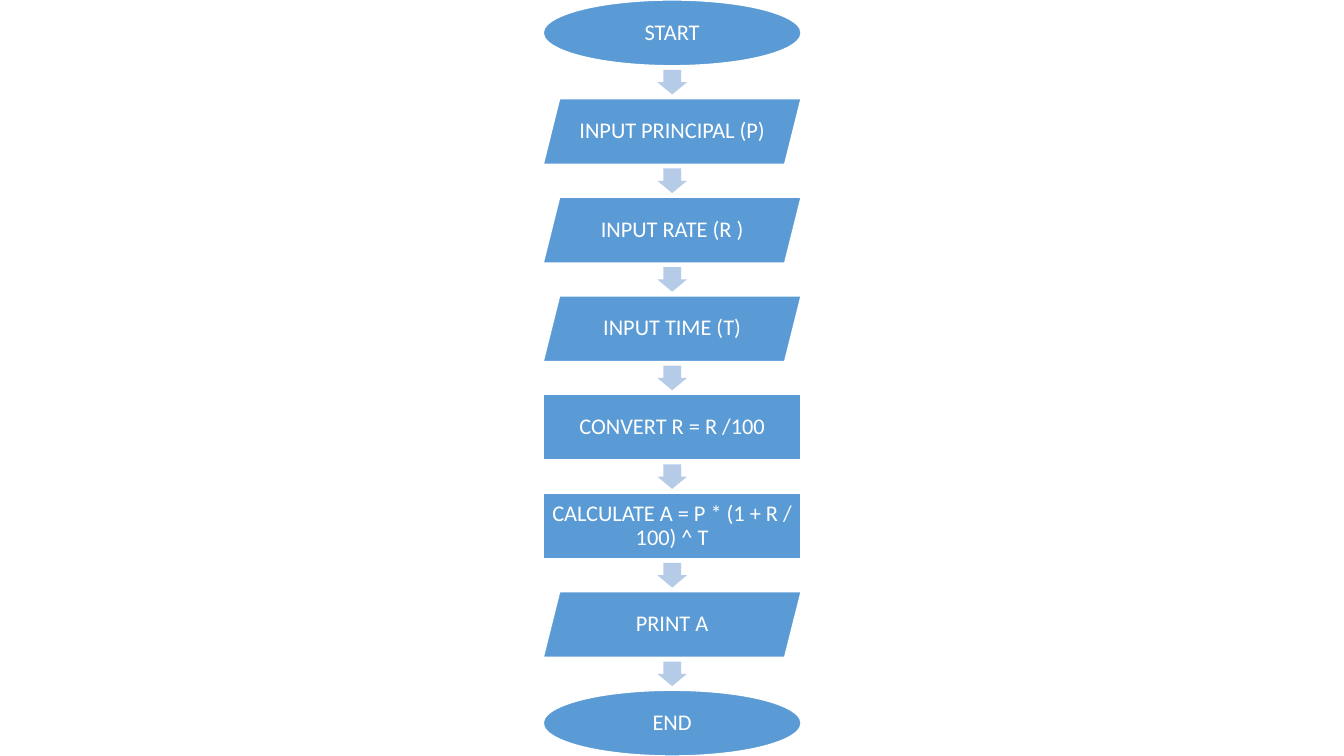
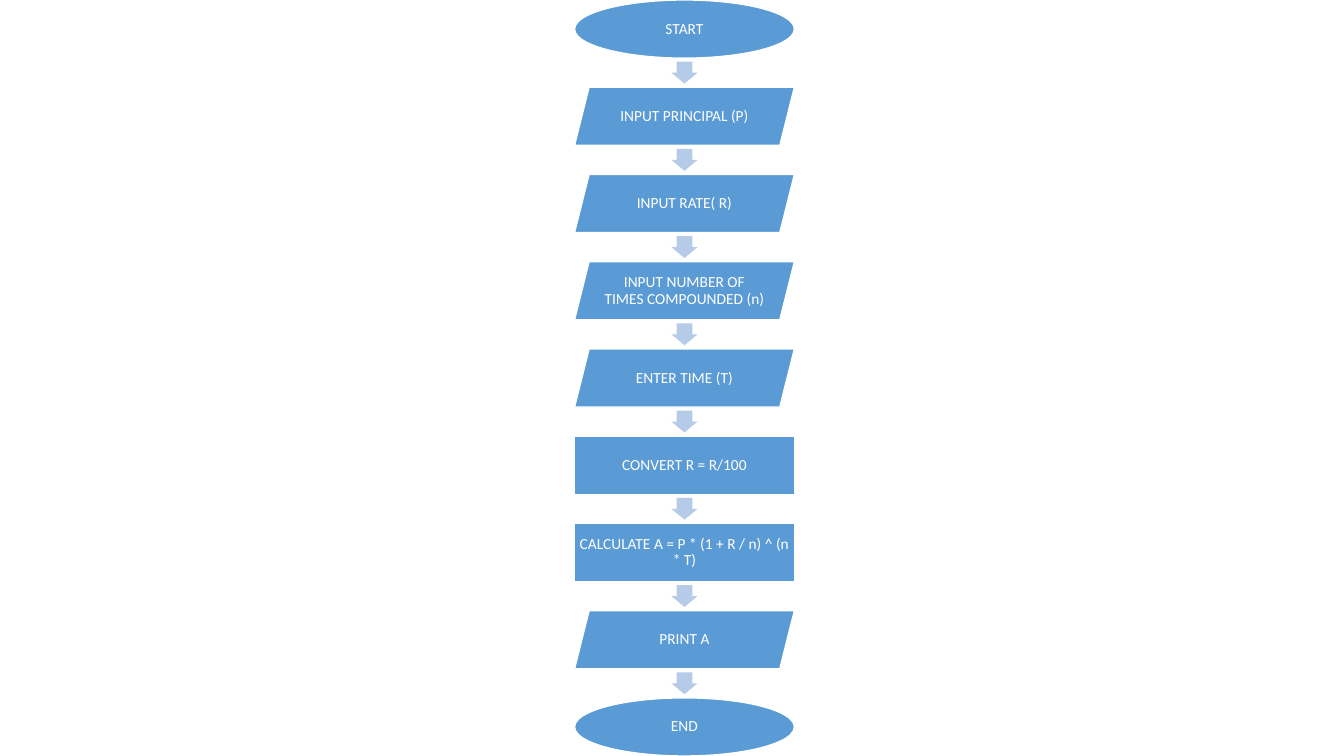
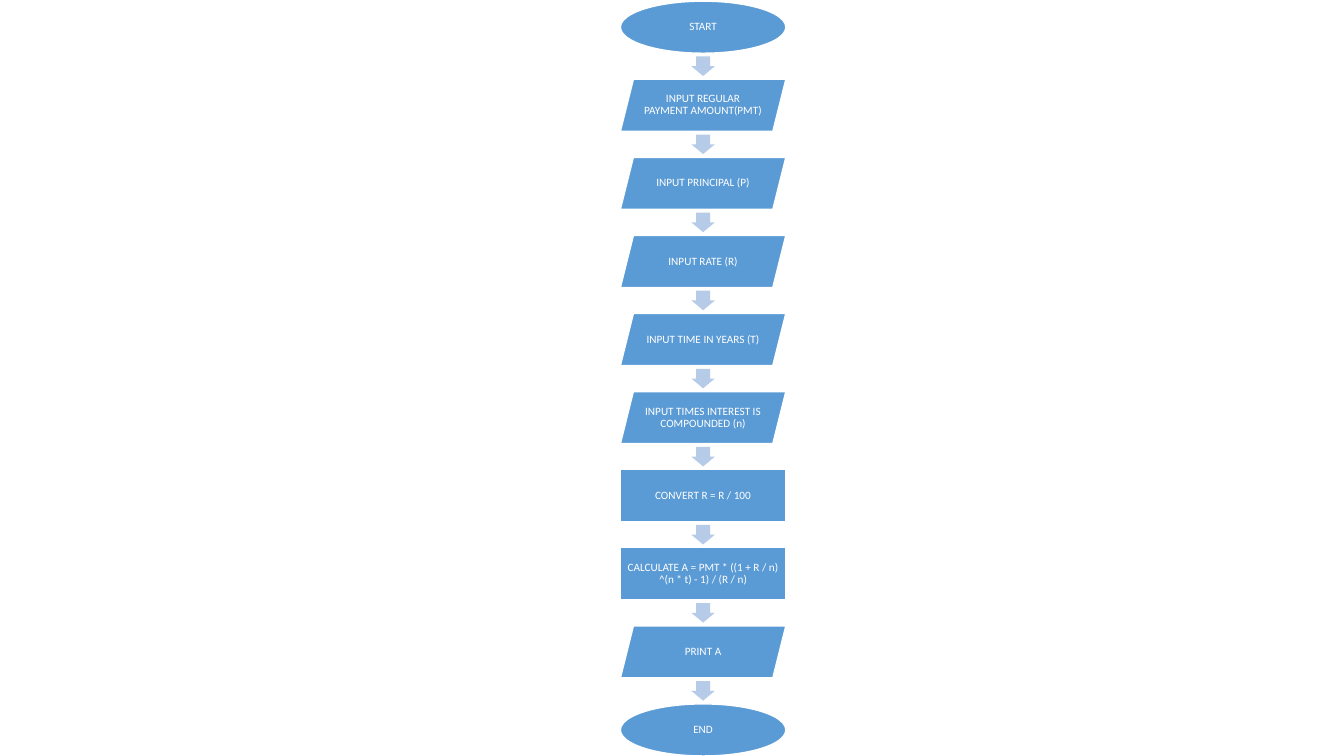
from dataclasses import dataclass

from pptx import Presentation
from pptx import util as u
from pptx.dml.color import RGBColor
from pptx.enum import shapes, text

STEP_BLUE = RGBColor(0x5B, 0x9B, 0xD5)
ARROW_BLUE = RGBColor(0xB5, 0xCB, 0xE7)
WHITE = RGBColor(0xFF, 0xFF, 0xFF)
FONT = "Calibri"

SLIDE_WIDTH = 33.87
SLIDE_HEIGHT = 19.05
GAP_RATIO = 0.5
ARROW_WIDTH_RATIO = 0.45
ARROW_LENGTH_RATIO = 0.375

TERMINAL = shapes.MSO_SHAPE.OVAL
DATA = shapes.MSO_SHAPE.PARALLELOGRAM
PROCESS = shapes.MSO_SHAPE.RECTANGLE
ARROW = shapes.MSO_SHAPE.DOWN_ARROW


@dataclass(frozen=True)
class Step:
    kind: shapes.MSO_SHAPE
    label: str


@dataclass(frozen=True)
class Flowchart:
    center: float
    top: float
    width: float
    inset: float
    font_size: int
    steps: tuple[Step, ...]


START = Step(TERMINAL, "START")
PRINT_AMOUNT = Step(DATA, "PRINT A")
END = Step(TERMINAL, "END")

FLOWCHARTS = (
    Flowchart(16.94, 0, 6.5, 0.17, 16, (
        START,
        Step(DATA, "INPUT PRINCIPAL (P)"),
        Step(DATA, "INPUT RATE (R )"),
        Step(DATA, "INPUT TIME (T)"),
        Step(PROCESS, "CONVERT R = R /100"),
        Step(PROCESS, "CALCULATE A = P * (1 + R / 100) ^ T"),
        PRINT_AMOUNT,
        END,
    )),
    Flowchart(17.25, 0, 5.54, 0.11, 11, (
        START,
        Step(DATA, "INPUT PRINCIPAL (P)"),
        Step(DATA, "INPUT RATE( R)"),
        Step(DATA, "INPUT NUMBER OF TIMES COMPOUNDED (n)"),
        Step(DATA, "ENTER TIME (T)"),
        Step(PROCESS, "CONVERT R = R/100"),
        Step(PROCESS, "CALCULATE A = P * (1 + R / n) ^ (n * T)"),
        PRINT_AMOUNT,
        END,
    )),
    Flowchart(17.72, 0.03, 4.17, 0.08, 8, (
        START,
        Step(DATA, "INPUT REGULAR PAYMENT AMOUNT(PMT)"),
        Step(DATA, "INPUT PRINCIPAL (P)"),
        Step(DATA, "INPUT RATE (R)"),
        Step(DATA, "INPUT TIME IN YEARS (T)"),
        Step(DATA, "INPUT TIMES INTEREST IS COMPOUNDED (n)"),
        Step(PROCESS, "CONVERT R = R / 100"),
        Step(PROCESS, "CALCULATE A = PMT * ((1 + R / n) ^(n * t) - 1) / (R / n)"),
        PRINT_AMOUNT,
        END,
    )),
)


def add_centered(slide, kind: shapes.MSO_SHAPE, center: float, top: float,
                 width: float, height: float, fill: RGBColor):
    block = slide.shapes.add_shape(
        kind, u.Cm(center - width / 2), u.Cm(top), u.Cm(width), u.Cm(height))
    block.shadow.inherit = False
    block.fill.solid()
    block.fill.fore_color.rgb = fill
    return block


def write_text(block, content: str, *, size: int, inset: float,
               color: RGBColor = WHITE, line_spacing: float = 0.9) -> None:
    frame = block.text_frame
    frame.word_wrap = True
    frame.vertical_anchor = text.MSO_ANCHOR.MIDDLE
    frame.margin_left = frame.margin_right = u.Cm(inset)
    frame.margin_top = frame.margin_bottom = u.Cm(inset)
    paragraph = frame.paragraphs[0]
    paragraph.alignment = text.PP_ALIGN.CENTER
    paragraph.line_spacing = line_spacing
    run = paragraph.add_run()
    run.text = content
    run.font.name = FONT
    run.font.size = u.Pt(size)
    run.font.color.rgb = color


def draw_step(slide, chart: Flowchart, step: Step, top: float, height: float) -> None:
    block = add_centered(slide, step.kind, chart.center, top, chart.width, height, STEP_BLUE)
    block.line.color.rgb = WHITE
    block.line.width = u.Pt(1)
    write_text(block, step.label, size=chart.font_size, inset=chart.inset)


def draw_arrow(slide, chart: Flowchart, step_bottom: float, step_height: float) -> None:
    length = step_height * ARROW_LENGTH_RATIO
    top = step_bottom + (step_height * GAP_RATIO - length) / 2
    arrow = add_centered(slide, ARROW, chart.center, top,
                         step_height * ARROW_WIDTH_RATIO, length, ARROW_BLUE)
    arrow.adjustments[0] = 0.6
    arrow.adjustments[1] = 0.5
    arrow.line.fill.background()


def draw_flowchart(slide, chart: Flowchart) -> None:
    count = len(chart.steps)
    height = (SLIDE_HEIGHT - chart.top) / (count + (count - 1) * GAP_RATIO)
    for index, step in enumerate(chart.steps):
        top = chart.top + index * height * (1 + GAP_RATIO)
        draw_step(slide, chart, step, top, height)
        if index < count - 1:
            draw_arrow(slide, chart, top + height, height)


def main() -> None:
    deck = Presentation()
    deck.slide_width = u.Cm(SLIDE_WIDTH)
    deck.slide_height = u.Cm(SLIDE_HEIGHT)
    blank = deck.slide_layouts[6]
    for chart in FLOWCHARTS:
        draw_flowchart(deck.slides.add_slide(blank), chart)
    deck.save("out.pptx")


if __name__ == "__main__":
    main()
